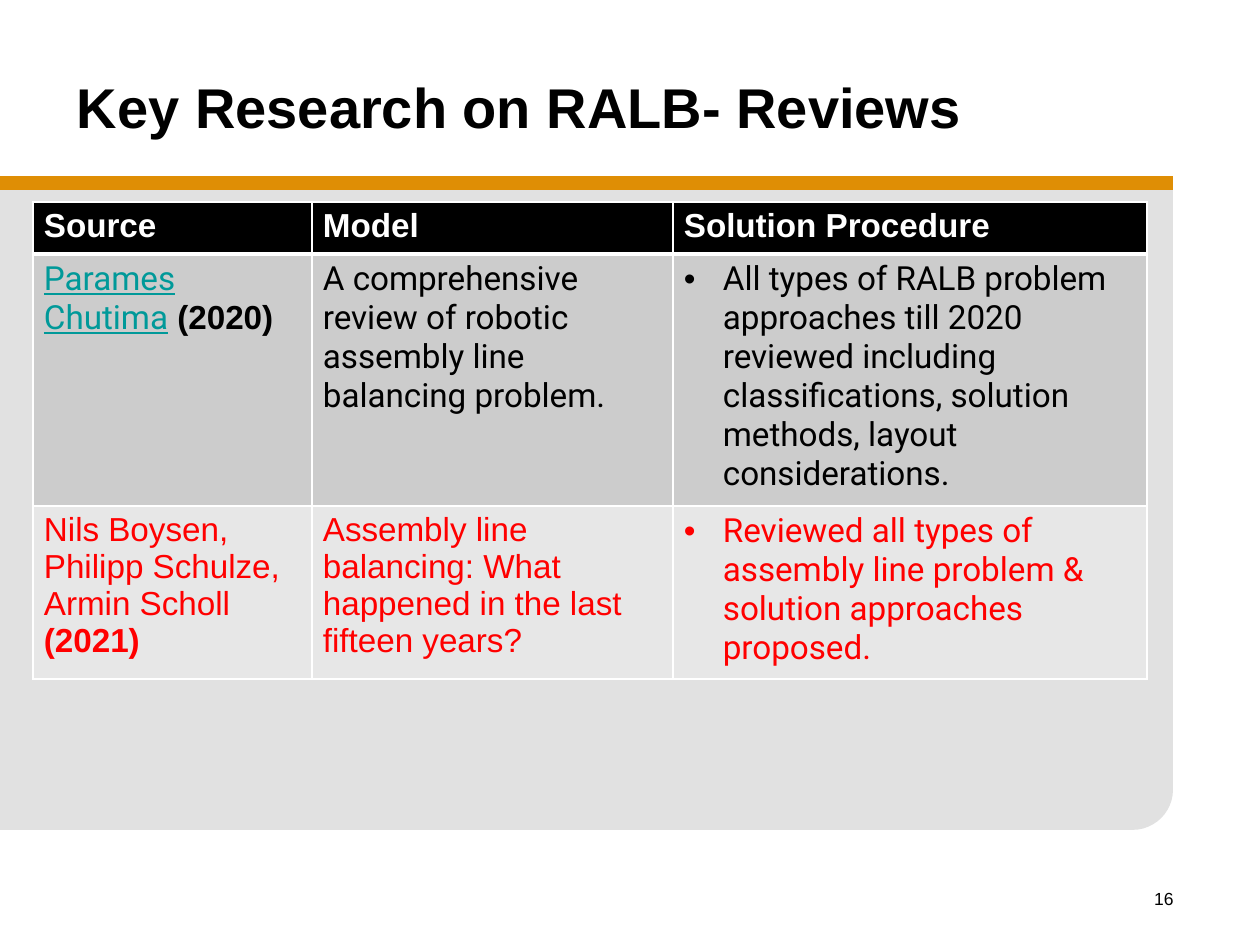
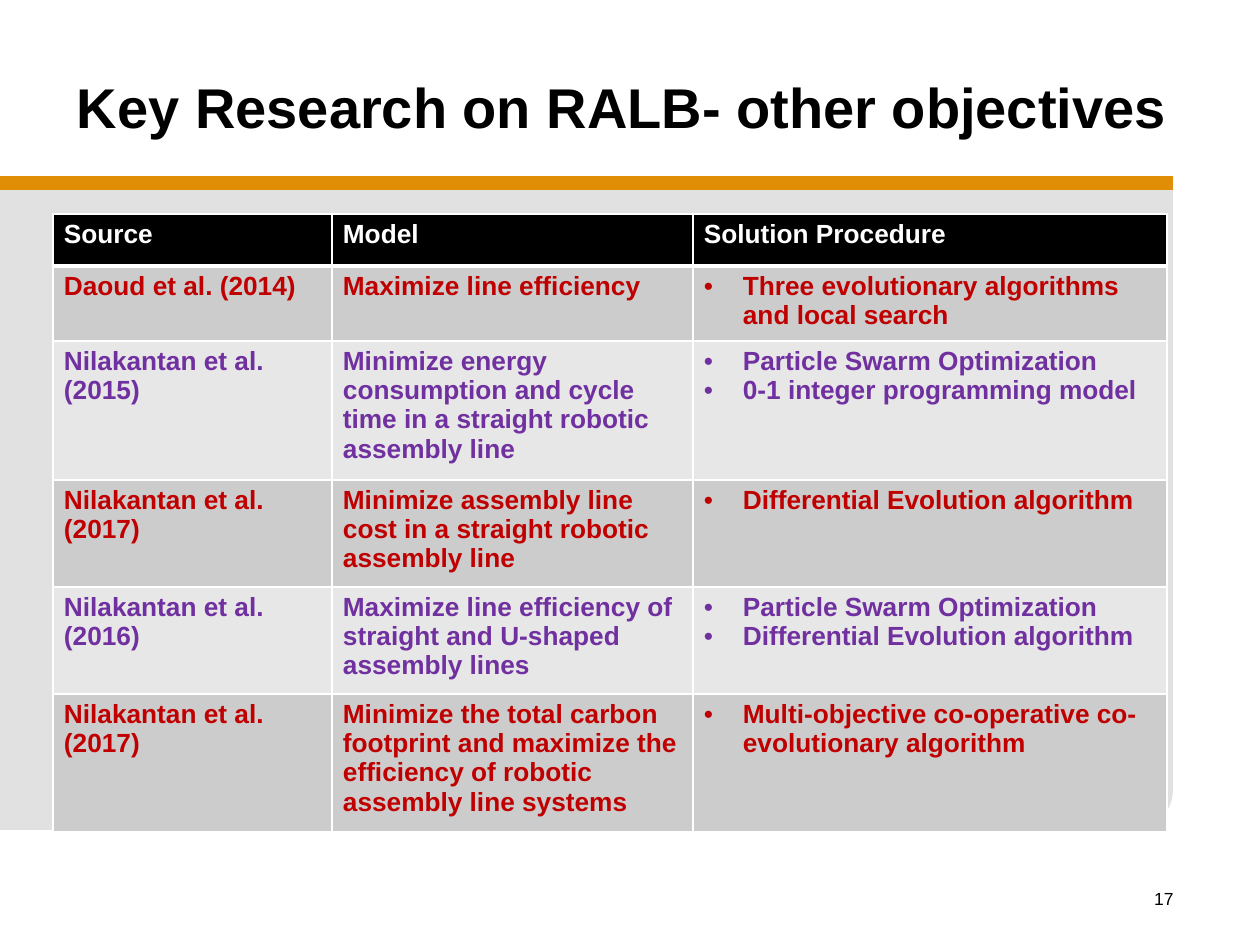
from dataclasses import dataclass

from lxml import etree
from pptx import Presentation, util as u
from pptx.dml.color import RGBColor
from pptx.enum import shapes, text
from pptx.oxml import ns

SCALE = 914400 / 126
BLACK, WHITE = "000000", "FFFFFF"
PANEL, BAND, EDGE = "E1E1E1", "DF8E05", "FFFFFF"
STRIPES = ("CCCCCC", "E7E7E7")
RED, WINE, PLUM, TEAL = "FF0000", "C00000", "7030A0", "009999"
HEAD = ("Source", "Model", "Solution Procedure")
COLS = (279, 361, 474)
HANG = 39


@dataclass(frozen=True)
class Run:
    words: str
    color: str = BLACK
    bold: bool = False
    font: str = "Arial"
    under: bool = False


Para = tuple[Run, ...]
Cell = tuple[Para, ...]
Row = tuple[Cell, ...]


@dataclass(frozen=True)
class Sheet:
    title: str
    page: int
    left: int
    top: int
    size: int
    highs: tuple[int, ...]
    body: tuple[Row, ...]


def px(n: int) -> int:
    return round(n * SCALE)


def rgb(code: str) -> RGBColor:
    return RGBColor.from_string(code)


def one(run: Run) -> Cell:
    """Make a cell of one paragraph with one run."""
    return ((run,),)


def entry(color: str, source: str, model: str, *steps: str) -> Row:
    """Make a bold table row in one colour."""
    return (one(Run(source, color, True)), one(Run(model, color, True)),
            tuple((Run(step, color, True),) for step in steps))


def write(para, runs: Para, size: int) -> None:
    for item in runs:
        run = para.add_run()
        run.text = item.words
        font = run.font
        font.size, font.name = u.Pt(size), item.font
        font.bold, font.underline = item.bold, item.under
        font.color.rgb = rgb(item.color)


def bullet(para) -> None:
    props = para._p.get_or_add_pPr()
    props.set("marL", str(px(HANG)))
    props.set("indent", str(-px(HANG)))
    etree.SubElement(props, ns.qn("a:buFont"), typeface="Arial")
    etree.SubElement(props, ns.qn("a:buChar"), char="•")


def border(cell, top: int, base: int) -> None:
    """Draw the four sides of a cell; top and base are widths in points."""
    props = cell._tc.get_or_add_tcPr()
    for side, width in (("L", 1), ("R", 1), ("T", top), ("B", base)):
        line = etree.SubElement(props, ns.qn(f"a:ln{side}"), w=str(u.Pt(width)))
        fill = etree.SubElement(line, ns.qn("a:solidFill"))
        etree.SubElement(fill, ns.qn("a:srgbClr"), val=EDGE)


def block(slide, kind, x: int, y: int, w: int, h: int):
    shape = slide.shapes.add_shape(kind, px(x), px(y), px(w), px(h))
    shape.shadow.inherit = False
    shape.fill.solid()
    shape.fill.fore_color.rgb = rgb(PANEL)
    shape.line.fill.background()
    return shape


def label(slide, x: int, y: int, w: int, h: int, run: Run, size: int):
    frame = slide.shapes.add_textbox(px(x), px(y), px(w), px(h)).text_frame
    frame.word_wrap = True
    write(frame.paragraphs[0], (run,), size)
    return frame


def frame(slide, sheet: Sheet) -> None:
    """Draw the panel, band, page number and title."""
    kind = shapes.MSO_SHAPE
    block(slide, kind.RECTANGLE, 0, 188, 1173, 549)
    block(slide, kind.ROUNDED_RECTANGLE, 420, 588, 753, 242)
    block(slide, kind.RECTANGLE, 0, 346, 522, 484)
    band = slide.shapes.add_connector(
        shapes.MSO_CONNECTOR.STRAIGHT, 0, px(183), px(1173), px(183))
    band.line.color.rgb = rgb(BAND)
    band.line.width = u.Pt(8)
    etree.SubElement(band._element.spPr, ns.qn("a:effectLst"))
    page = label(slide, 924, 882, 262, 63, Run(str(sheet.page)), 10)
    page.paragraphs[0].alignment = text.PP_ALIGN.RIGHT
    title = label(slide, 53, 21, 1134, 170, Run(sheet.title, bold=True), 32)
    title.vertical_anchor = text.MSO_ANCHOR.MIDDLE
    title.margin_left = px(24)


def grid(slide, sheet: Sheet) -> None:
    """Draw the table with its header and striped body."""
    head = tuple(one(Run(name, WHITE, True)) for name in HEAD)
    rows = (head, *sheet.body)
    table = slide.shapes.add_table(
        len(rows), len(COLS), px(sheet.left), px(sheet.top),
        px(sum(COLS)), px(sum(sheet.highs))).table
    table.horz_banding = False
    for col, width in zip(table.columns, COLS):
        col.width = px(width)
    for r, (row, high) in enumerate(zip(rows, sheet.highs)):
        table.rows[r].height = px(high)
        for c, paras in enumerate(row):
            cell = table.cell(r, c)
            cell.margin_left = cell.margin_right = px(11)
            cell.margin_top = cell.margin_bottom = px(6)
            border(cell, 3 if r == 1 else 1, 3 if r == 0 else 1)
            cell.fill.solid()
            cell.fill.fore_color.rgb = rgb(STRIPES[(r - 1) % 2] if r else BLACK)
            body = cell.text_frame
            for n, runs in enumerate(paras):
                para = body.add_paragraph() if n else body.paragraphs[0]
                if r and c == len(COLS) - 1:
                    bullet(para)
                write(para, runs, sheet.size)


REVIEWS = (
    (((Run("Parames Chutima", TEAL, font="Roboto", under=True),
       Run(" (2020)", bold=True)),),
     one(Run("A comprehensive review of robotic assembly line balancing problem.",
             font="Roboto")),
     one(Run("All types of RALB problem approaches till 2020 reviewed including "
             "classifications, solution methods, layout considerations.",
             font="Roboto"))),
    (((Run("Nils Boysen, Philipp Schulze, Armin Scholl ", RED),
       Run("(2021)", RED, True)),),
     one(Run("Assembly line balancing: What happened in the last fifteen years?",
             RED)),
     one(Run("Reviewed all types of assembly line problem & solution approaches "
             "proposed.", RED, font="Roboto"))),
)
GOALS = (
    entry(WINE, "Daoud et al. (2014)", "Maximize line efficiency",
          "Three evolutionary algorithms and local search"),
    entry(PLUM, "Nilakantan et al. (2015)",
          "Minimize energy consumption and cycle time in a straight robotic "
          "assembly line",
          "Particle Swarm Optimization", "0-1 integer programming model"),
    entry(WINE, "Nilakantan et al. (2017)",
          "Minimize assembly line cost in a straight robotic assembly line",
          "Differential Evolution algorithm"),
    entry(PLUM, "Nilakantan et al. (2016)",
          "Maximize line efficiency of straight and U-shaped assembly lines",
          "Particle Swarm Optimization", "Differential Evolution algorithm"),
    entry(WINE, "Nilakantan et al. (2017)",
          "Minimize the total carbon footprint and maximize the efficiency of "
          "robotic assembly line systems",
          "Multi-objective co-operative co-evolutionary algorithm"),
)
SHEETS = (
    Sheet("Key Research on RALB- Reviews", 16, 33, 202, 19,
          (52, 252, 173), REVIEWS),
    Sheet("Key Research on RALB- other objectives", 17, 53, 214, 15,
          (52, 75, 139, 107, 107, 138), GOALS),
)


def main() -> None:
    deck = Presentation()
    deck.slide_width, deck.slide_height = px(1260), px(945)
    for sheet in SHEETS:
        slide = deck.slides.add_slide(deck.slide_layouts[6])
        frame(slide, sheet)
        grid(slide, sheet)
    deck.save("out.pptx")


if __name__ == "__main__":
    main()
